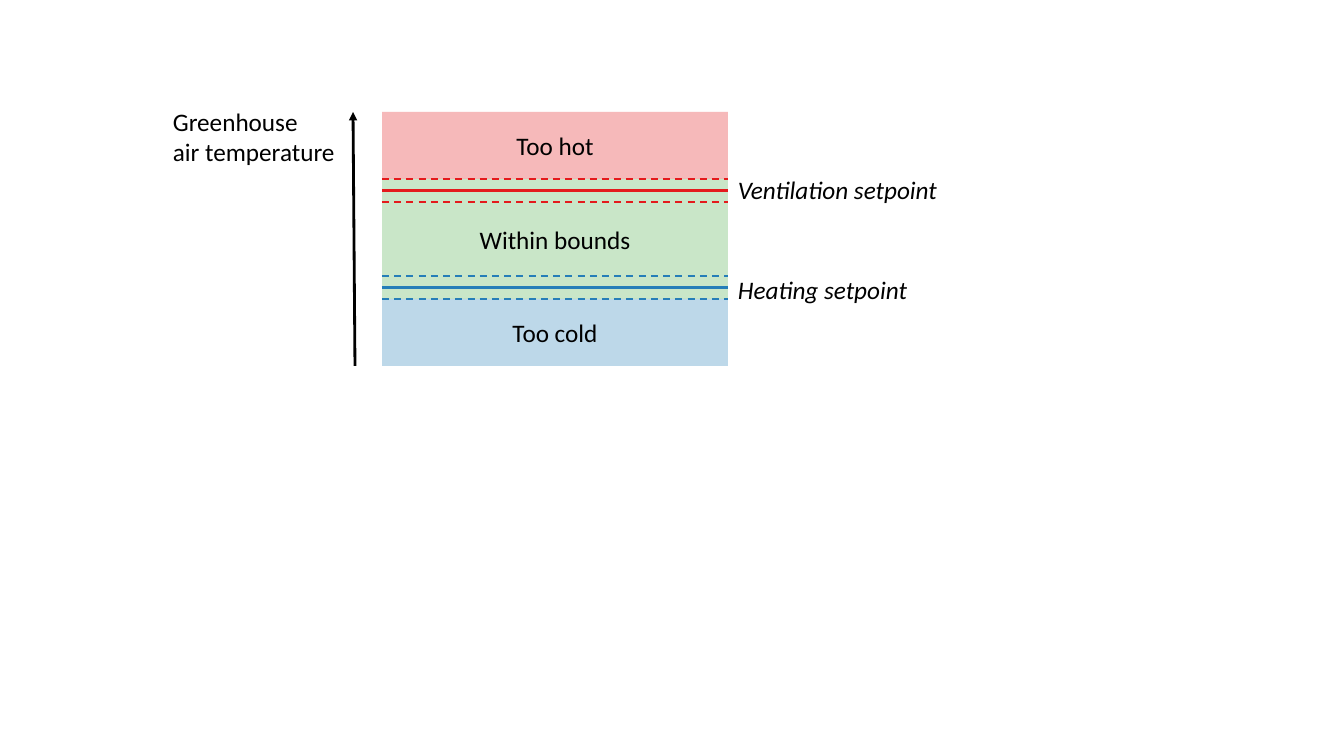
import pptx
import pptx.util
import pptx.dml.color
import pptx.enum.dml
import pptx.enum.shapes
import pptx.enum.text
import pptx.oxml
import pptx.oxml.ns

EMU_PER_PIXEL = 914400 / 100.8
COLORS = {"hot": "E41A1C", "bounds": "4DAF4A", "cold": "257EB8", "ink": "000000"}
ALIGN = pptx.enum.text.PP_ALIGN
SOLID = {"width": pptx.util.Pt(2)}
DASHED = {"width": pptx.util.Pt(1.25),
          "dash_style": pptx.enum.dml.MSO_LINE.DASH}


def px(*lengths):
    """Turn pixels into EMU."""
    return [round(length * EMU_PER_PIXEL) for length in lengths]


def rgb(color):
    """Look up a named colour."""
    return pptx.dml.color.RGBColor.from_string(COLORS[color])


def set_all(target, values):
    """Set attributes from a dict of format values."""
    for name, value in values.items():
        setattr(target, name, value)


def add_child(parent, tag, **attributes):
    """Append a DrawingML element to parent."""
    child = pptx.oxml.ns.qn(tag)
    element = parent.makeelement(child, attributes)
    parent.append(element)


def write(frame, paragraphs, align=ALIGN.LEFT, italic=False):
    """Fill a text frame with one run per paragraph."""
    for index, words in enumerate(paragraphs):
        paragraph = frame.add_paragraph() if index else frame.paragraphs[0]
        paragraph.alignment = align
        run = paragraph.add_run()
        run.text = words
        set_all(run.font, {"name": "Calibri", "size": pptx.util.Pt(18),
                           "italic": italic})
        run.font.color.rgb = rgb("ink")


def draw_line(slide, start, end, color, style):
    """Draw a straight line without a shadow."""
    line = slide.shapes.add_connector(
        pptx.enum.shapes.MSO_CONNECTOR.STRAIGHT, *px(*start, *end))
    line.line.color.rgb = rgb(color)
    set_all(line.line, style)
    add_child(line._element.spPr, "a:effectLst")
    return line


def draw_label(slide, box, paragraphs, italic=False):
    """Place an unwrapped label in its box."""
    frame = slide.shapes.add_textbox(*px(*box)).text_frame
    set_all(frame, {"word_wrap": False,
                    "auto_size": pptx.enum.text.MSO_AUTO_SIZE.SHAPE_TO_FIT_TEXT})
    write(frame, paragraphs, italic=italic)


def draw_band(slide, box, color, words):
    """Draw one translucent temperature range."""
    band = slide.shapes.add_shape(
        pptx.enum.shapes.MSO_SHAPE.RECTANGLE, *px(*box))
    band.shadow.inherit = False
    band.fill.solid()
    band.fill.fore_color.rgb = rgb(color)
    solid_fill = band._element.spPr.find(pptx.oxml.ns.qn("a:solidFill"))
    add_child(solid_fill[0], "a:alpha", val="30000")
    band.line.fill.background()
    band.text_frame.vertical_anchor = pptx.enum.text.MSO_ANCHOR.MIDDLE
    write(band.text_frame, [words], ALIGN.CENTER)


def draw_setpoint(slide, box, color, words, label_width, label_rise):
    """Draw a setpoint with its dashed margins and a label on the right."""
    left, top, width, height = box
    right, middle = left + width, top + height / 2
    for y, style in ((middle, SOLID), (top + height, DASHED), (top, DASHED)):
        draw_line(slide, (left, y), (right, y), color, style)
    draw_label(slide, (right, middle - label_rise, label_width, 40), [words],
               italic=True)


def draw_ranges(slide, box):
    """Stack the three ranges and lay the setpoints at the bounds."""
    left, top, width, height = box
    edge, margin = 67, 23
    bounds_height = height - 2 * edge
    cold_top = top + edge + bounds_height
    for y, band_height, color, words in (
            (top + edge, bounds_height, "bounds", "Within bounds"),
            (cold_top, edge, "cold", "Too cold"),
            (top, edge, "hot", "Too hot")):
        draw_band(slide, (left, y, width, band_height), color, words)
    for y, color, words, label_width, label_rise in (
            (top + edge, "hot", "Ventilation setpoint", 224, 21),
            (cold_top - margin, "cold", "Heating setpoint", 192, 18)):
        draw_setpoint(slide, (left, y, width, margin), color, words,
                      label_width, label_rise)


def draw_axis(slide, box):
    """Draw the temperature arrow at the right of the box, with its title."""
    left, top, width, height = box
    right = left + width
    arrow = draw_line(slide, (right, top + height), (right - 2, top), "ink", SOLID)
    add_child(arrow.line._get_or_add_ln(), "a:tailEnd", type="triangle")
    draw_label(slide, (left, top - 11, 183, 72), ["Greenhouse", "air temperature"])


presentation = pptx.Presentation()
set_all(presentation, dict(zip(("slide_width", "slide_height"), px(1344, 756))))
temperature_slide = presentation.slides.add_slide(presentation.slide_layouts[6])
draw_ranges(temperature_slide, (382, 112, 346, 254))
draw_axis(temperature_slide, (163, 112, 192, 254))
presentation.save("out.pptx")
